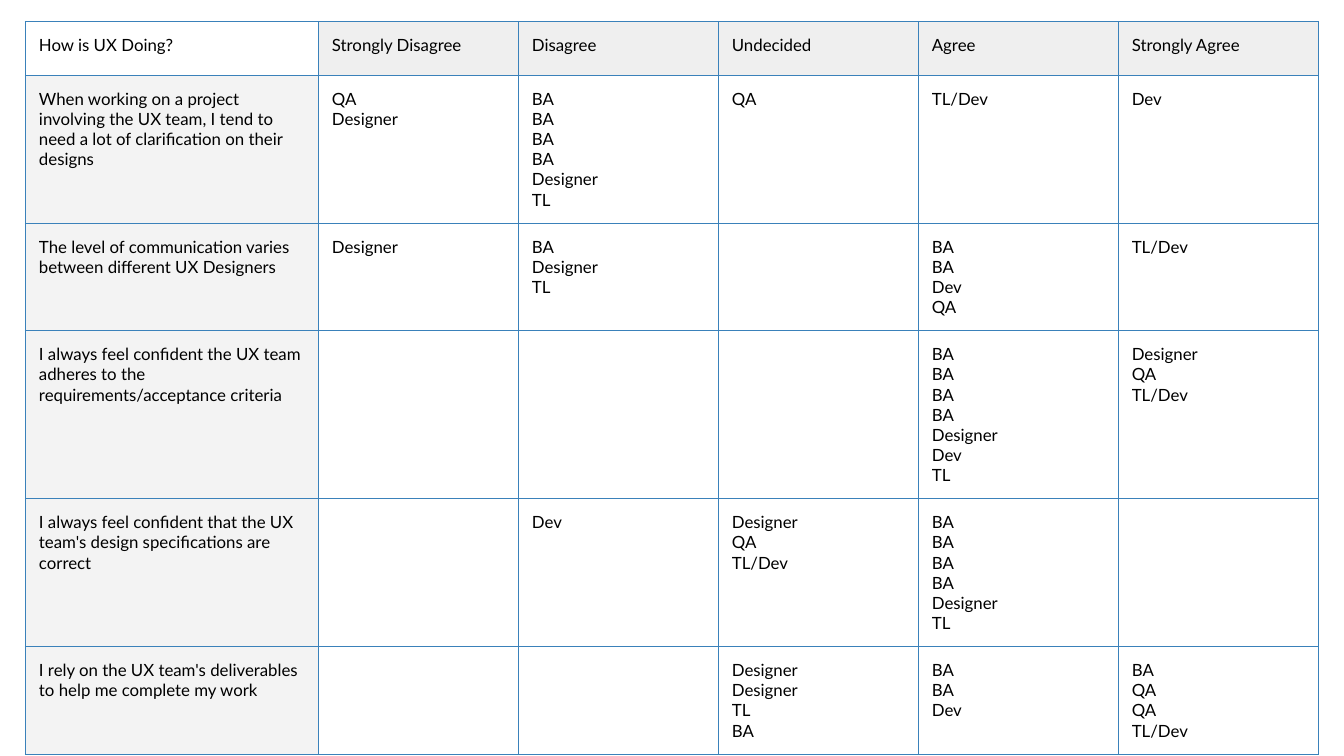
from lxml.etree import SubElement
from pptx import Presentation
from pptx.dml.color import RGBColor
from pptx.oxml.ns import qn
from pptx.util import Inches, Pt

SLIDE_WIDTH = Inches(10)
SLIDE_HEIGHT = SLIDE_WIDTH * 9 // 16
TABLE_BOX = Inches(0.19), Inches(0.16), Inches(9.62)
LABEL_WIDTH = Inches(2.18)
MARGIN = Inches(0.1)
HEADER_HEIGHT = Inches(0.4)
LINE_HEIGHT = Pt(10.3)
BLACK = RGBColor(0x00, 0x00, 0x00)
HEADER_GREY = RGBColor(0xEF, 0xEF, 0xEF)
LABEL_GREY = RGBColor(0xF3, 0xF3, 0xF3)
BORDER_BLUE = RGBColor(0x3A, 0x81, 0xBA)

HEADINGS = ["How is UX Doing?", "Strongly Disagree", "Disagree", "Undecided",
            "Agree", "Strongly Agree"]
ANSWERS = [
    ("When working on a project involving the UX team, I tend to need a lot of "
     "clarification on their designs",
     "QA Designer", "BA BA BA BA Designer TL", "QA", "TL/Dev", "Dev"),
    ("The level of communication varies between different UX Designers",
     "Designer", "BA Designer TL", "", "BA BA Dev QA", "TL/Dev"),
    ("I always feel confident the UX team adheres to the requirements/acceptance criteria",
     "", "", "", "BA BA BA BA Designer Dev TL", "Designer QA TL/Dev"),
    ("I always feel confident that the UX team's design specifications are correct",
     "", "Dev", "Designer QA TL/Dev", "BA BA BA BA Designer TL", ""),
    ("I rely on the UX team's deliverables to help me complete my work",
     "", "", "Designer Designer TL BA", "BA BA Dev", "BA QA QA TL/Dev"),
]


def add_borders(cell):
    """Outline all four sides of a cell."""
    properties = cell._tc.get_or_add_tcPr()
    for side in ("a:lnL", "a:lnR", "a:lnT", "a:lnB"):
        line = SubElement(properties, qn(side), w=str(Pt(0.75)))
        fill = SubElement(line, qn("a:solidFill"))
        SubElement(fill, qn("a:srgbClr"), val=str(BORDER_BLUE))
        SubElement(line, qn("a:prstDash"), val="solid")


def fill_cell(cell, lines, colour):
    """Write one paragraph per line and format the cell."""
    add_borders(cell)
    if colour is None:
        cell.fill.background()
    else:
        cell.fill.solid()
        cell.fill.fore_color.rgb = colour
    cell.margin_left = cell.margin_right = MARGIN
    cell.margin_top = cell.margin_bottom = MARGIN
    for index, line in enumerate(lines):
        frame = cell.text_frame
        para = frame.add_paragraph() if index else frame.paragraphs[0]
        span = para.add_run()
        span.text = line
        span.font.name = "Lato"
        span.font.size = Pt(9)
        span.font.bold = False
        span.font.color.rgb = BLACK


def cell_colour(row, column):
    """Choose the shade of a header, label or answer cell."""
    if row == 0:
        return HEADER_GREY if column else None
    return None if column else LABEL_GREY


def add_survey_table(page, box):
    """Build the survey table in a left, top, width box."""
    left, top, width = box
    rows = [[[heading] for heading in HEADINGS]]
    rows += [[[label], *(group.split() for group in groups)] for label, *groups in ANSWERS]
    heights = [HEADER_HEIGHT]
    heights += [2 * MARGIN + LINE_HEIGHT * max(map(len, row)) for row in rows[1:]]
    table = page.shapes.add_table(
        len(rows), len(HEADINGS), left, top, width, sum(heights)).table
    table.first_row = table.horz_banding = False
    answer_width = (width - LABEL_WIDTH) // (len(HEADINGS) - 1)
    for index, column in enumerate(table.columns):
        column.width = answer_width if index else LABEL_WIDTH
    for row_index, row in enumerate(rows):
        table.rows[row_index].height = heights[row_index]
        for column_index, lines in enumerate(row):
            fill_cell(table.cell(row_index, column_index), lines,
                      cell_colour(row_index, column_index))


def main():
    """Create the deck with its single survey page."""
    deck = Presentation()
    deck.slide_width, deck.slide_height = SLIDE_WIDTH, SLIDE_HEIGHT
    page = deck.slides.add_slide(deck.slide_layouts[6])
    add_survey_table(page, TABLE_BOX)
    deck.save("out.pptx")


if __name__ == "__main__":
    main()
